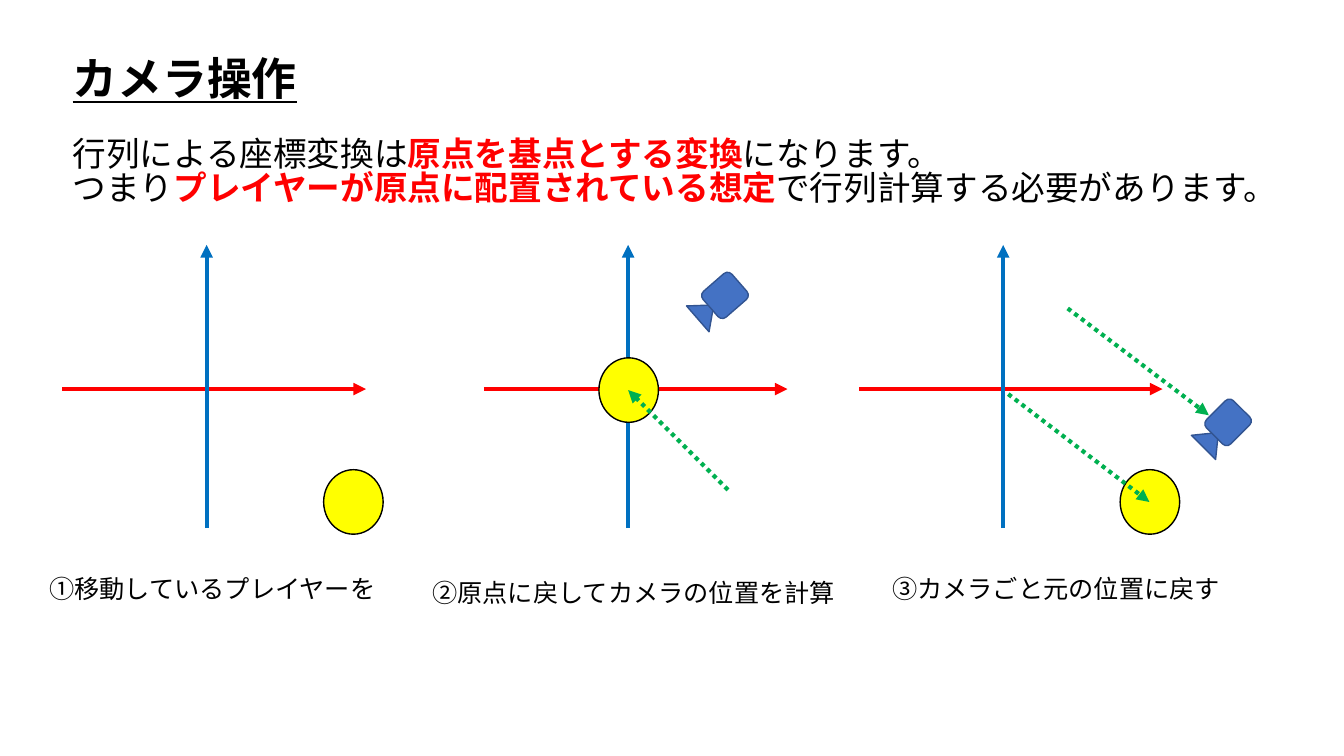
from lxml import etree
from pptx import Presentation
from pptx.dml.color import RGBColor
from pptx.enum.dml import MSO_LINE
from pptx.enum.shapes import MSO_CONNECTOR, MSO_SHAPE
from pptx.enum.text import MSO_ANCHOR, MSO_AUTO_SIZE, PP_ALIGN
from pptx.oxml.ns import qn
from pptx.util import Inches, Pt

BLACK = RGBColor(0x00, 0x00, 0x00)
RED = RGBColor(0xFF, 0x00, 0x00)
BLUE = RGBColor(0x00, 0x70, 0xC0)
GREEN = RGBColor(0x00, 0xB0, 0x50)
YELLOW = RGBColor(0xFF, 0xFF, 0x00)
CAMERA_FILL = RGBColor(0x44, 0x72, 0xC4)
CAMERA_LINE = RGBColor(0x32, 0x54, 0x91)
FONT = "Noto Sans CJK JP"


def add_run(p, text, size=18, color=BLACK, bold=False, underline=False):
    r = p.add_run()
    r.text = text
    r.font.name = FONT
    r.font.size = Pt(size)
    r.font.bold = bold
    r.font.underline = underline
    r.font.color.rgb = color
    etree.SubElement(r.font._element, qn("a:ea"), typeface=FONT)


class SlideBuilder:
    def __init__(self, slide):
        self.slide = slide
        self.shapes = slide.shapes

    def text(self, sp, box, paragraphs, wrap=False, **style):
        sp.left, sp.top, sp.width, sp.height = map(Inches, box)
        tf = sp.text_frame
        tf.word_wrap = wrap
        tf.auto_size = MSO_AUTO_SIZE.NONE
        tf.vertical_anchor = MSO_ANCHOR.TOP
        for i, runs in enumerate(paragraphs):
            p = tf.add_paragraph() if i else tf.paragraphs[0]
            pPr = p._p.get_or_add_pPr()
            pPr.set("marL", "0")
            pPr.set("indent", "0")
            etree.SubElement(pPr, qn("a:buNone"))
            p.alignment = PP_ALIGN.LEFT
            p.space_before = Pt(0)
            p.line_spacing = 0.84
            for text, extra in runs:
                add_run(p, text, **style, **extra)

    def caption(self, left, top, width, text):
        sp = self.shapes.add_textbox(0, 0, 0, 0)
        self.text(sp, (left, top, width, 0.4), [[(text, {})]])

    def arrow(self, x1, y1, x2, y2, color, dotted=False):
        line = self.shapes.add_connector(
            MSO_CONNECTOR.STRAIGHT, *map(Inches, (x1, y1, x2, y2)))
        line.line.color.rgb = color
        line.line.width = Pt(3)
        if dotted:
            line.line.dash_style = MSO_LINE.ROUND_DOT
        etree.SubElement(line.line._get_or_add_ln(), qn("a:tailEnd"), type="triangle")
        etree.SubElement(line._element.spPr, qn("a:effectLst"))

    def shape(self, kind, box, fill, outline, rotation=0):
        sp = self.shapes.add_shape(kind, *map(Inches, box))
        sp.shadow.inherit = False
        sp.fill.solid()
        sp.fill.fore_color.rgb = fill
        sp.line.color.rgb = outline
        sp.line.width = Pt(1)
        sp.rotation = rotation

    def axes(self, x):
        self.arrow(x - 1.43, 3.86, x + 1.58, 3.86, RED)
        self.arrow(x, 5.24, x, 2.43, BLUE)

    def player(self, left, top):
        self.shape(MSO_SHAPE.OVAL, (left, top, 0.59, 0.64), YELLOW, BLACK)

    def camera(self, lens, body, angle):
        self.shape(MSO_SHAPE.ISOSCELES_TRIANGLE, (*lens, 0.34, 0.21),
                   CAMERA_FILL, CAMERA_LINE, angle)
        self.shape(MSO_SHAPE.ROUNDED_RECTANGLE, (*body, 0.34, 0.38),
                   CAMERA_FILL, CAMERA_LINE, angle + 180)


def main():
    prs = Presentation()
    prs.slide_width, prs.slide_height = Inches(13.33), Inches(7.5)
    s = prs.slides.add_slide(prs.slide_layouts[1])
    b = SlideBuilder(s)
    key = {"color": RED, "bold": True}

    b.text(s.shapes.title, (0.62, 0.54, 2.45, 0.64),
           [[("カメラ操作", {})]], size=32, bold=True, underline=True)
    b.text(s.placeholders[1], (0.62, 1.33, 12.32, 0.91), [
        [("行列による座標変換は", {}), ("原点を基点とする変換", key), ("になります。", {})],
        [("つまり", {}), ("プレイヤーが原点に配置されている想定", key),
         ("で行列計算する必要があります。", {})],
    ], size=24)

    for origin, player in ((2.05, (3.21, 4.66)), (6.23, (5.94, 3.55)),
                           (9.95, (11.11, 4.66))):
        b.axes(origin)
        b.player(*player)

    b.caption(0.39, 5.69, 3.48, "①移動しているプレイヤーを")
    b.caption(4.19, 5.73, 4.24, "②原点に戻してカメラの位置を計算")
    b.caption(8.75, 5.69, 3.48, "③カメラごと元の位置に戻す")

    b.camera((6.83, 2.99), (7.02, 2.74), 49)
    b.camera((11.84, 4.26), (12.01, 4), 45)

    for ends in ((7.22, 4.86, 6.23, 3.87), (10, 3.91, 11.4, 4.98),
                 (10.59, 3.06, 11.99, 4.12)):
        b.arrow(*ends, GREEN, dotted=True)

    prs.save("out.pptx")


if __name__ == "__main__":
    main()
